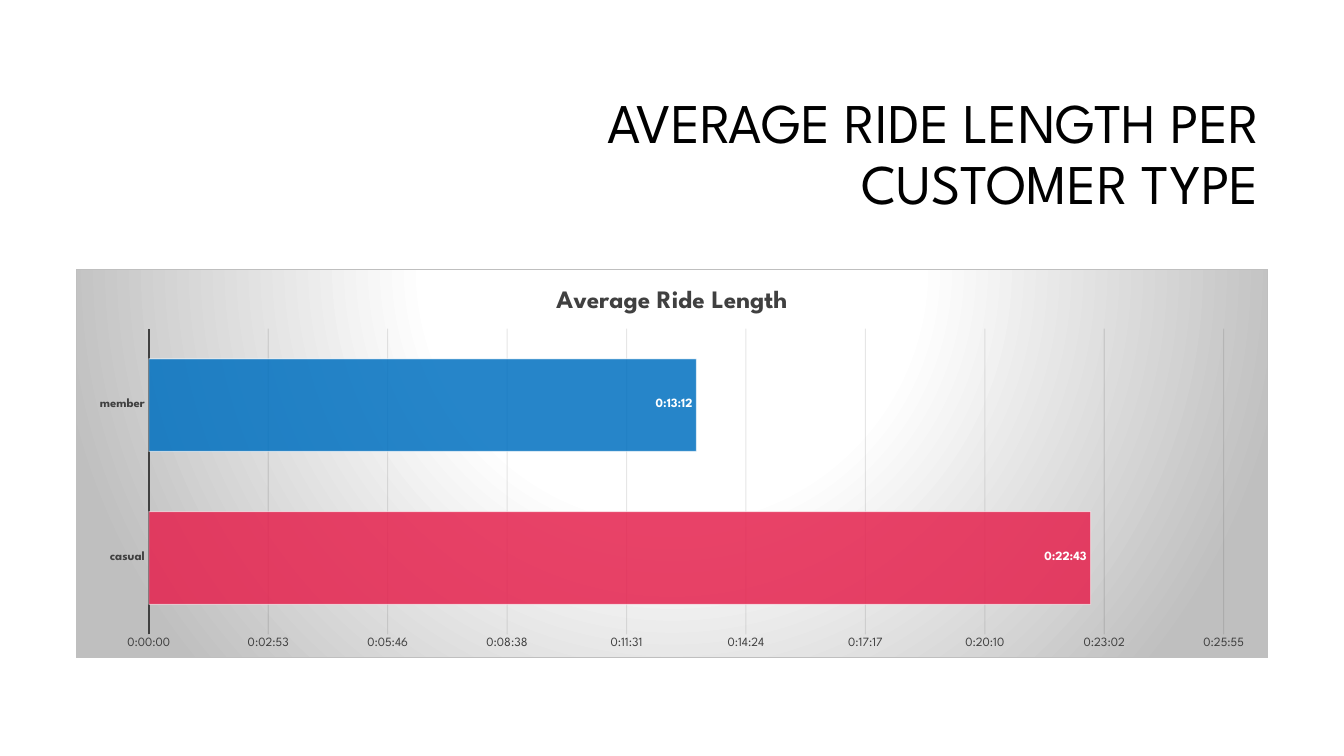
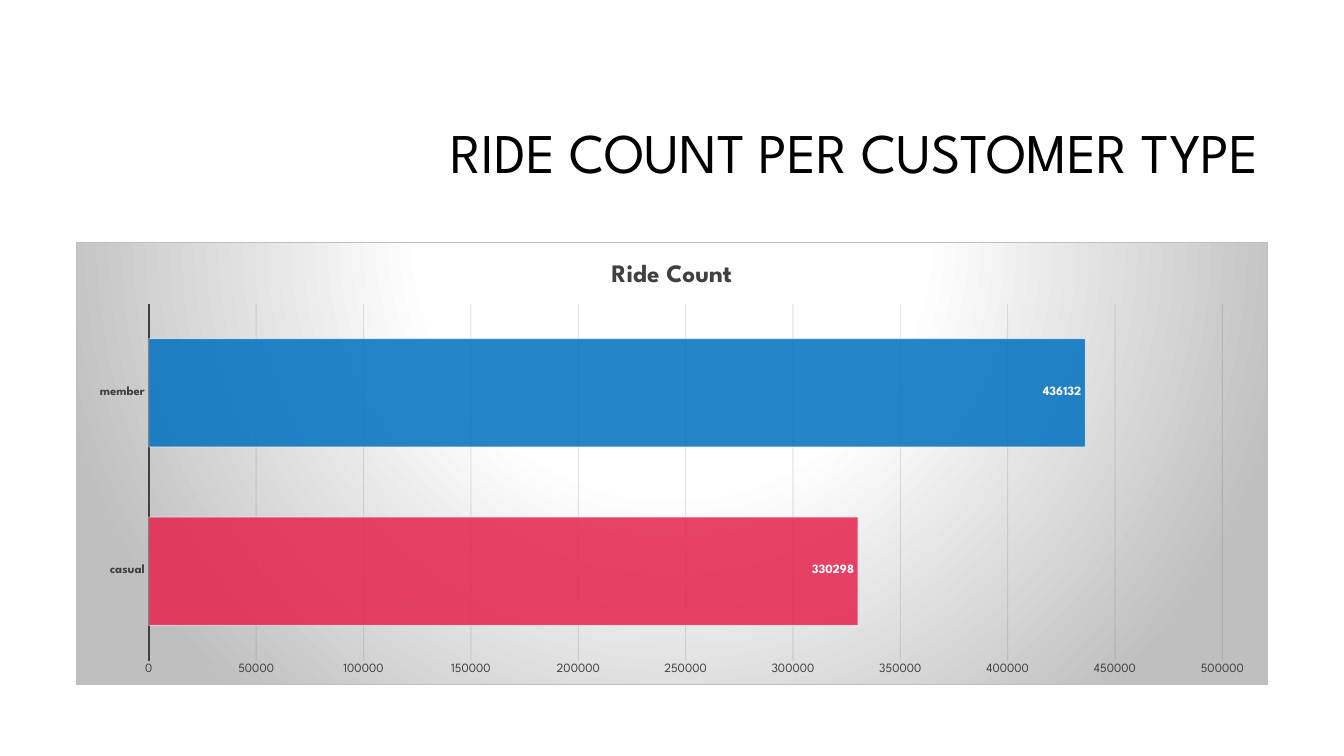
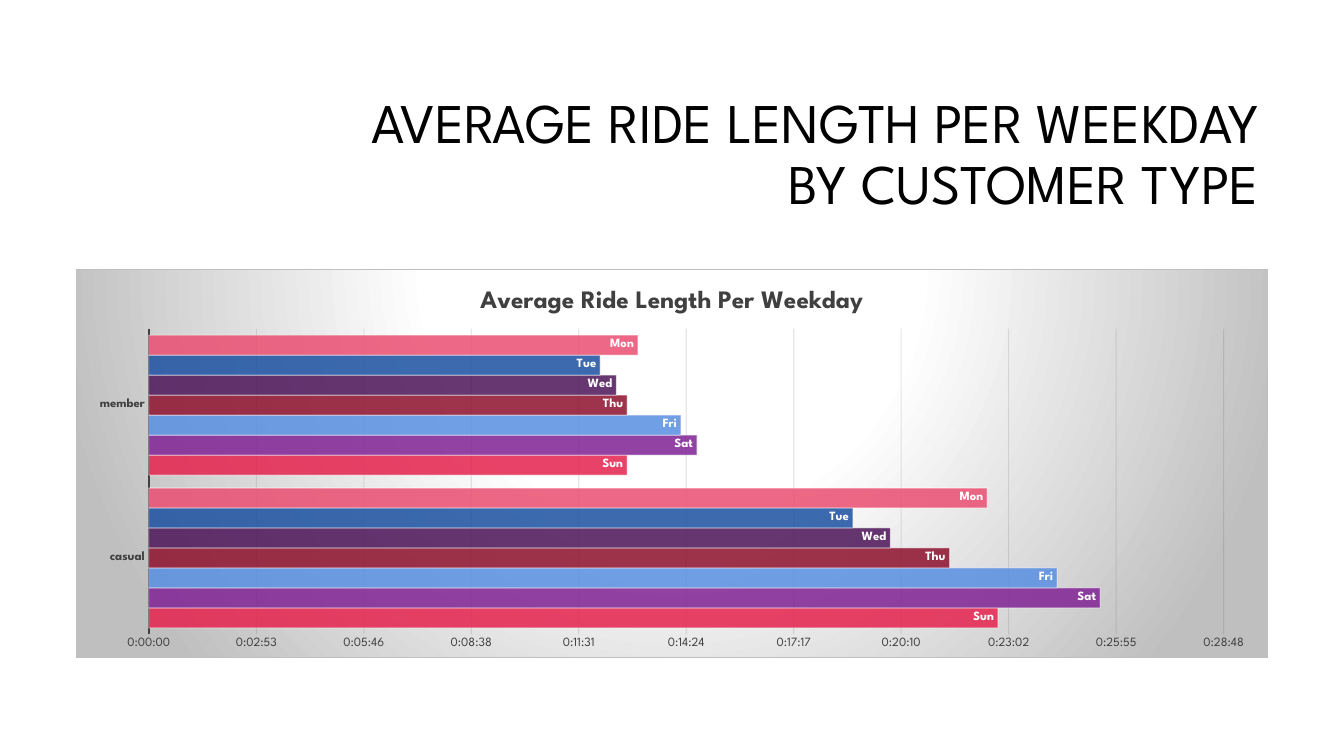
from dataclasses import dataclass

from lxml import etree
from pptx import Presentation
from pptx import util as u
from pptx.chart.chart import Chart
from pptx.chart.data import CategoryChartData
from pptx.dml.color import RGBColor
from pptx.enum import chart as ch, text as tx
from pptx.oxml import parse_xml
from pptx.oxml.ns import nsdecls, qn
from pptx.slide import Slide

FACE = "League Spartan"
BLACK, WHITE, GRAY, GRID, EDGE = "000000", "FFFFFF", "404040", "0D0D0D", "BFBFBF"
RED, BLUE = "E5224E", "0070C0"
TIME, PLAIN = "[h]:mm:ss;@", "General"
GROUPS = ("casual", "member")

# Radial backdrop shared by all charts: (stop in percent, colour)
STOPS = ((0, WHITE), (39, WHITE), (100, EDGE))
BACK = (
    f'<c:spPr {nsdecls("c", "a")}><a:gradFill><a:gsLst>'
    + "".join(f'<a:gs pos="{pos * 1000}"><a:srgbClr val="{hue}"/></a:gs>' for pos, hue in STOPS)
    + '</a:gsLst><a:path path="circle">'
    '<a:fillToRect l="50000" t="-80000" r="50000" b="180000"/></a:path></a:gradFill>'
    f'<a:ln w="9525"><a:solidFill><a:srgbClr val="{EDGE}"/></a:solidFill></a:ln></c:spPr>'
)


@dataclass
class Bar:
    name: str
    vals: tuple[float, float]
    hue: str


@dataclass
class Page:
    title: str
    head: str
    top: float
    high: float
    peak: float
    step: float
    form: str
    bars: list[Bar]


PAGES = [
    Page("AVERAGE RIDE LENGTH PER CUSTOMER TYPE", "Average Ride Length",
         2.67, 3.86, 0.018, 0.002, TIME, [Bar("Series 1", (0.015772, 0.009171), RED)]),
    Page("RIDE COUNT PER CUSTOMER TYPE", "Ride Count",
         2.4, 4.4, 500000, 50000, PLAIN, [Bar("Series 1", (330298, 436132), RED)]),
    Page("AVERAGE RIDE LENGTH PER WEEKDAY BY CUSTOMER TYPE", "Average Ride Length Per Weekday",
         2.67, 3.86, 0.02, 0.002, TIME, [
             Bar("Sun", (0.0158, 0.0089), RED),
             Bar("Sat", (0.0177, 0.0102), "7F2294"),
             Bar("Fri", (0.0169, 0.0099), "588FE2"),
             Bar("Thu", (0.0149, 0.0089), "8D112D"),
             Bar("Wed", (0.0138, 0.0087), "4C1459"),
             Bar("Tue", (0.0131, 0.0084), "1C51A1"),
             Bar("Mon", (0.0156, 0.0091), "EA4E71"),
         ]),
]


def color(hue: str) -> RGBColor:
    return RGBColor.from_string(hue)


def style(font, size: float, hue: str, bold: bool = False) -> None:
    font.name, font.size, font.bold = FACE, u.Pt(size), bold
    font.color.rgb = color(hue)


def stroke(line, hue: str, width: float) -> None:
    line.color.rgb = color(hue)
    line.width = u.Pt(width)


def paint(form, hue: str) -> None:
    form.fill.solid()
    form.fill.fore_color.rgb = color(hue)
    stroke(form.line, WHITE, 0.75)


def veil(chart: Chart, query: str, share: int) -> None:
    """Set the opacity, in percent, of the colours found by the query."""
    for node in chart.element.xpath(query):
        etree.SubElement(node, qn("a:alpha")).set("val", str(share * 1000))


def add_title(slide: Slide, words: str) -> None:
    box = slide.shapes.title
    box.left, box.top = u.Inches(3.17), u.Inches(0.84)
    box.width, box.height = u.Inches(9.42), u.Inches(1.41)
    frame = box.text_frame
    frame.word_wrap = True
    frame.auto_size = tx.MSO_AUTO_SIZE.NONE
    frame.vertical_anchor = tx.MSO_ANCHOR.MIDDLE
    para = frame.paragraphs[0]
    para.alignment, para.line_spacing = tx.PP_ALIGN.RIGHT, 0.9
    run = para.add_run()
    run.text = words
    style(run.font, 40, BLACK)


def set_axes(chart: Chart, page: Page) -> None:
    cat, val = chart.category_axis, chart.value_axis
    for axis in (cat, val):
        axis.major_tick_mark = axis.minor_tick_mark = ch.XL_TICK_MARK.NONE
        style(axis.tick_labels.font, 9, GRAY, axis is cat)
    stroke(cat.format.line, GRAY, 1.5)
    val.format.line.fill.background()
    val.minimum_scale, val.maximum_scale, val.major_unit = 0, page.peak, page.step
    val.has_major_gridlines = True
    stroke(val.major_gridlines.format.line, GRID, 0.75)
    val.tick_labels.number_format = page.form
    val.tick_labels.number_format_is_linked = False


def set_bars(chart: Chart, page: Page) -> None:
    plot = chart.plots[0]
    plot.gap_width, plot.vary_by_categories = 65, False
    many = len(page.bars) > 1
    for bar, series in zip(page.bars, plot.series):
        paint(series.format, bar.hue)
        tags = series.data_labels
        tags.show_value, tags.show_series_name = not many, many
        tags.position = ch.XL_LABEL_POSITION.INSIDE_END
        tags.number_format, tags.number_format_is_linked = page.form, False
        style(tags.font, 9, WHITE, True)
    if not many:
        paint(plot.series[0].points[1].format, BLUE)


def add_chart(slide: Slide, page: Page) -> None:
    data = CategoryChartData(number_format=page.form)
    data.categories = GROUPS
    for bar in page.bars:
        data.add_series(bar.name, bar.vals)
    chart = slide.shapes.add_chart(
        ch.XL_CHART_TYPE.BAR_CLUSTERED, u.Inches(0.75), u.Inches(page.top),
        u.Inches(11.83), u.Inches(page.high), data).chart
    style(chart.font, 10, BLACK)
    chart.has_legend = False

    # Heading
    chart.has_title = True
    run = chart.chart_title.text_frame.paragraphs[0].add_run()
    run.text = page.head
    style(run.font, 18, GRAY, True)
    chart.chart_title.include_in_layout = False

    set_axes(chart, page)
    set_bars(chart, page)

    # Backdrop and transparency
    chart.element.find(qn("c:chart")).addnext(parse_xml(BACK))
    veil(chart, ".//c:ser//c:spPr/a:solidFill/a:srgbClr", 85)
    veil(chart, ".//c:ser//c:spPr/a:ln//a:srgbClr", 50)
    veil(chart, ".//c:majorGridlines//a:srgbClr", 10)


def main() -> None:
    deck = Presentation()
    deck.slide_width, deck.slide_height = u.Inches(13.33), u.Inches(7.5)
    for page in PAGES:
        slide = deck.slides.add_slide(deck.slide_layouts[5])
        add_title(slide, page.title)
        add_chart(slide, page)
    deck.save("out.pptx")


if __name__ == "__main__":
    main()
